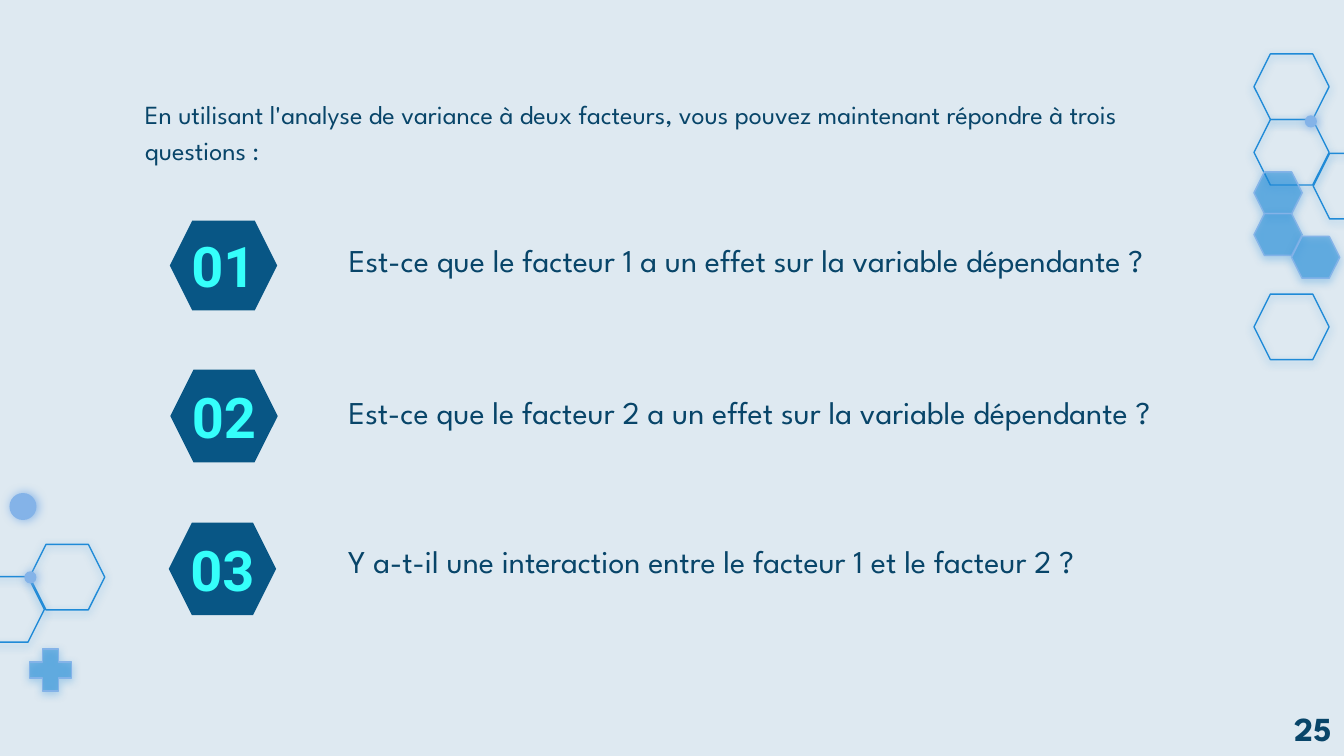
"""Build the slide on the three questions of a two-factor analysis of variance."""
from dataclasses import dataclass
from typing import Any, Optional

import lxml.etree
import pptx
import pptx.dml.color
import pptx.enum.shapes
import pptx.enum.text
import pptx.oxml.ns
import pptx.util

Cm = pptx.util.Cm
Pt = pptx.util.Pt
Shape = pptx.enum.shapes.MSO_SHAPE
Align = pptx.enum.text.PP_ALIGN
Anchor = pptx.enum.text.MSO_ANCHOR
qn = pptx.oxml.ns.qn


@dataclass(frozen=True)
class Theme:
    background: str = "DEE9F1"
    ink: str = "084569"
    badge: str = "085685"
    number: str = "35FFFB"
    accent: str = "1F8AD7"
    pale: str = "84B3E8"
    text_font: str = "League Spartan"
    number_font: str = "Roboto"
    intro_size: int = 14
    question_size: int = 17
    page_size: int = 18
    number_size: int = 30
    outline: float = 0.75


@dataclass(frozen=True)
class Area:
    left: float
    top: float
    width: float
    height: float

    def lengths(self) -> list[int]:
        return [Cm(value) for value in (self.left, self.top, self.width, self.height)]


@dataclass(frozen=True)
class Shadow:
    color: str
    opacity: int
    blur: float
    distance: float
    angle: int


@dataclass(frozen=True)
class Style:
    fill: Optional[str] = None
    opacity: int = 100
    line: Optional[str] = None
    shadow: Optional[Shadow] = None


@dataclass(frozen=True)
class Ornament:
    preset: Any
    style: Style
    width: float
    height: float
    left: float
    top: float


@dataclass(frozen=True)
class TextStyle:
    size: int
    color: str
    font: str
    bold: bool = False
    align: Any = Align.LEFT
    anchor: Any = Anchor.TOP
    spacing: float = 1.0
    inset: float = 0.25


@dataclass(frozen=True)
class Question:
    number: str
    text: str
    badge: Area
    area: Area


THEME = Theme()

SOFT = Shadow(THEME.accent, 50, 4.5, 1.5, 90)
GLOW = Shadow(THEME.pale, 100, 5.6, 0.8, 11)
OUTLINE = Style(line=THEME.accent, shadow=SOFT)
TINTED = Style(THEME.accent, 53, THEME.pale, SOFT)
DOT = Style(THEME.pale, shadow=GLOW)
BADGE = Style(THEME.badge)

LARGE = (Shape.HEXAGON, OUTLINE, 1.42, 1.24)
SMALL = (Shape.HEXAGON, TINTED, 0.91, 0.79)
TINY_DOT = (Shape.OVAL, DOT, 0.23, 0.23)
BIG_DOT = (Shape.OVAL, DOT, 0.51, 0.51)
PLUS = (Shape.CROSS, TINTED, 0.79, 0.79)

ORNAMENTS = [
    Ornament(*LARGE, 23.7, 2.26),
    Ornament(*LARGE, 24.82, 2.9),
    Ornament(*SMALL, 23.7, 3.25),
    Ornament(*LARGE, 23.7, 1.02),
    Ornament(*LARGE, -0.58, 10.9),
    Ornament(*LARGE, 0.56, 10.29),
    Ornament(*TINY_DOT, 24.66, 2.18),
    Ornament(*BIG_DOT, 0.18, 9.32),
    Ornament(*PLUS, 0.56, 12.27),
    Ornament(*TINY_DOT, 0.46, 10.8),
    Ornament(*SMALL, 23.7, 4.04),
    Ornament(*SMALL, 24.41, 4.47),
    Ornament(*LARGE, 23.7, 5.56),
]

QUESTIONS = [
    Question("01", "Est-ce que le facteur 1 a un effet sur la variable dépendante ?",
             Area(3.21, 4.17, 2.03, 1.7), Area(5.51, 4.19, 17.2, 1.65)),
    Question("02", "Est-ce que le facteur 2 a un effet sur la variable dépendante ?",
             Area(3.22, 6.99, 2.03, 1.75), Area(5.64, 7.06, 17.07, 1.6)),
    Question("03", "Y a-t-il une interaction entre le facteur 1 et le facteur 2 ?",
             Area(3.19, 9.88, 2.03, 1.75), Area(5.64, 9.88, 15.62, 1.75)),
]

INTRO = ("En utilisant l'analyse de variance à deux facteurs, "
         "vous pouvez maintenant répondre à trois questions :")
INTRO_TEXT = TextStyle(THEME.intro_size, THEME.ink, THEME.text_font, spacing=1.15)
QUESTION_TEXT = TextStyle(THEME.question_size, THEME.ink, THEME.text_font,
                          align=Align.CENTER, spacing=1.15)
NUMBER_TEXT = TextStyle(THEME.number_size, THEME.number, THEME.number_font, True,
                        Align.CENTER, Anchor.MIDDLE)
PAGE_TEXT = TextStyle(THEME.page_size, THEME.ink, THEME.text_font, True, inset=0.13)
NUMBER_HEIGHT = 1.24


def rgb(color: str) -> pptx.dml.color.RGBColor:
    """Turn a hexadecimal string into a colour."""
    return pptx.dml.color.RGBColor.from_string(color)


def set_opacity(color: Any, percent: int) -> None:
    """Add an opacity to a colour element."""
    lxml.etree.SubElement(color, qn("a:alpha"), val=str(percent * 1000))


def add_shadow(shape: Any, shadow: Shadow) -> None:
    """Give a shape an outer shadow."""
    effects = shape._element.spPr.find(qn("a:effectLst"))
    outer = lxml.etree.SubElement(
        effects, qn("a:outerShdw"), blurRad=str(Pt(shadow.blur)),
        dist=str(Pt(shadow.distance)), dir=str(shadow.angle * 60000),
        algn="bl", rotWithShape="0")
    color = lxml.etree.SubElement(outer, qn("a:srgbClr"), val=shadow.color)
    set_opacity(color, shadow.opacity)


def draw_shape(page: Any, preset: Any, area: Area, style: Style) -> Any:
    """Draw a preset shape in the given style."""
    shape = page.shapes.add_shape(preset, *area.lengths())
    shape.shadow.inherit = False
    if style.fill:
        shape.fill.solid()
        shape.fill.fore_color.rgb = rgb(style.fill)
        if style.opacity < 100:
            fill = shape._element.spPr.find(qn("a:solidFill"))
            set_opacity(fill[0], style.opacity)
    else:
        shape.fill.background()
    if style.line:
        shape.line.color.rgb = rgb(style.line)
        shape.line.width = Pt(THEME.outline)
    else:
        shape.line.fill.background()
    if style.shadow:
        add_shadow(shape, style.shadow)
    return shape


def draw_text(page: Any, text: str, area: Area, style: TextStyle) -> None:
    """Draw one paragraph in a wrapped text box."""
    frame = page.shapes.add_textbox(*area.lengths()).text_frame
    frame.word_wrap = True
    frame.vertical_anchor = style.anchor
    frame.margin_left = frame.margin_right = Cm(0.25)
    frame.margin_top = frame.margin_bottom = Cm(style.inset)
    frame.text = text
    para = frame.paragraphs[0]
    para.alignment = style.align
    para.line_spacing = style.spacing
    span = para.runs[0]
    span.font.name = style.font
    span.font.size = Pt(style.size)
    span.font.bold = style.bold
    span.font.color.rgb = rgb(style.color)


def draw_ornament(page: Any, item: Ornament) -> None:
    """Draw one decorative shape."""
    area = Area(item.left, item.top, item.width, item.height)
    shape = draw_shape(page, item.preset, area, item.style)
    if item.preset == Shape.CROSS:
        shape.adjustments[0] = 0.31


def draw_question(page: Any, question: Question) -> None:
    """Draw a question beside its numbered badge."""
    badge = question.badge
    top = badge.top + (badge.height - NUMBER_HEIGHT) / 2
    draw_text(page, question.text, question.area, QUESTION_TEXT)
    draw_shape(page, Shape.HEXAGON, badge, BADGE)
    draw_text(page, question.number, Area(badge.left, top, badge.width, NUMBER_HEIGHT), NUMBER_TEXT)


def main() -> None:
    """Build and save the deck."""
    deck = pptx.Presentation()
    deck.slide_width, deck.slide_height = Cm(25.4), Cm(14.29)
    page = deck.slides.add_slide(deck.slide_layouts[6])
    page.background.fill.solid()
    page.background.fill.fore_color.rgb = rgb(THEME.background)
    for item in ORNAMENTS:
        draw_ornament(page, item)
    for question in QUESTIONS:
        draw_question(page, question)
    draw_text(page, INTRO, Area(2.49, 1.52, 19.28, 1.6), INTRO_TEXT)
    draw_text(page, "25", Area(24.21, 13.26, 1.6, 1.02), PAGE_TEXT)
    deck.save("out.pptx")


if __name__ == "__main__":
    main()
